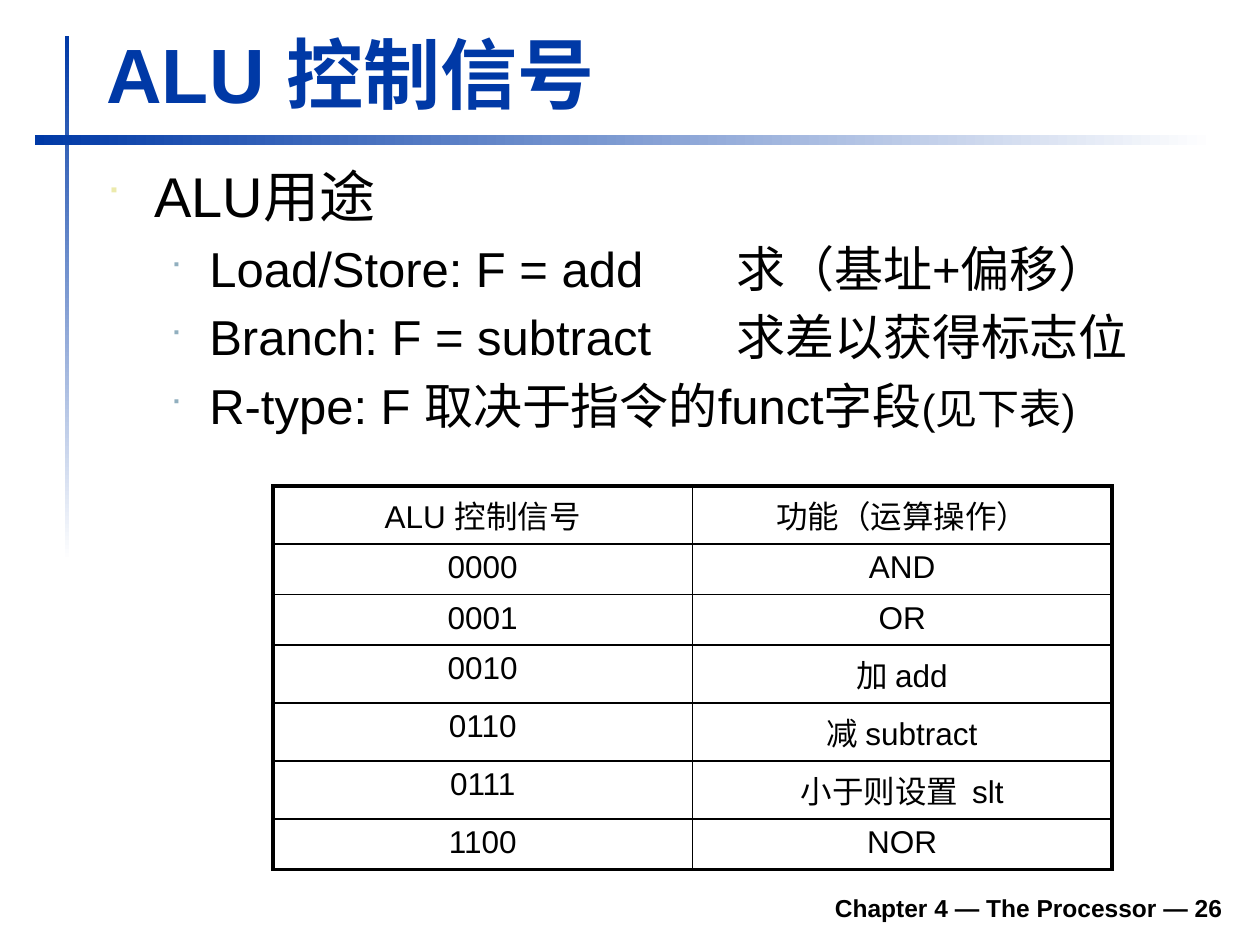
from lxml.etree import SubElement
from pptx import Presentation
from pptx.dml.color import RGBColor
from pptx.enum.shapes import MSO_SHAPE as Shape
from pptx.enum.text import MSO_ANCHOR as Anchor, PP_ALIGN as Align
from pptx.oxml.ns import qn
from pptx.util import Pt

# Content
TITLE = "ALU 控制信号"
FOOTER = "Chapter 4 — The Processor — 26"
# Each bullet: level, runs of (text, size)
BULLETS = [
    (0, [("ALU用途", 32)]),
    (1, [("Load/Store: F = add\t求（基址+偏移）", 28)]),
    (1, [("Branch: F = subtract\t求差以获得标志位", 28)]),
    (1, [("R-type: F 取决于指令的funct字段", 28), ("(见下表)", 24)]),
]
ROWS = [
    ("ALU 控制信号", "功能（运算操作）"),
    ("0000", "AND"),
    ("0001", "OR"),
    ("0010", "加 add"),
    ("0110", "减 subtract"),
    ("0111", "小于则设置  slt"),
    ("1100", "NOR"),
]

# Style: lengths in px, 126 to the inch
BLUE, WHITE, BLACK = "0039A6", "FFFFFF", "000000"
# Each bar: left, top, width, height, gradient angle
BARS = [(65, 36, 4, 525, 270), (35, 135, 1180, 10, 0)]
# Each level: left margin, hanging indent, bullet colour, bullet size in percent
LEVELS = [(48, 48, "ECEAAC", 60), (103, 39, "91AFBF", 55)]
TAB = 126
OUTER, HEADER, INNER = 2.25, 1.5, 1
LATIN_ROW, CHINESE_ROW = 50, 58


def px(length):
    return round(length * 914400 / 126)


def color(value):
    return RGBColor.from_string(value)


def set_font(font, size, value=BLACK, bold=False):
    font.name, font.size, font.bold = "Arial", Pt(size), bold
    font.color.rgb = color(value)


def add_box(left, top, width, height, anchor=Anchor.TOP):
    box = slide.shapes.add_textbox(px(left), px(top), px(width), px(height))
    box.text_frame.word_wrap = True
    box.text_frame.vertical_anchor = anchor
    return box.text_frame


def add_line(box, text, size, value, align):
    para = box.paragraphs[0]
    para.text, para.alignment = text, align
    set_font(para.font, size, value, bold=True)


def set_bullet(para, level):
    margin, hanging, value, percent = LEVELS[level]
    para.level = level
    props = para._p.get_or_add_pPr()
    props.set("marL", str(px(margin)))
    props.set("indent", str(-px(hanging)))
    props.set("defTabSz", str(px(TAB)))
    SubElement(SubElement(props, qn("a:buClr")), qn("a:srgbClr"), val=value)
    SubElement(props, qn("a:buSzPct"), val=str(percent * 1000))
    SubElement(props, qn("a:buFont"), typeface="Wingdings")
    SubElement(props, qn("a:buChar"), char="■")


def set_borders(cell, widths):
    props = cell._tc.get_or_add_tcPr()
    for side, width in zip("LRTB", widths):
        line = SubElement(props, qn("a:ln" + side), w=str(Pt(width)))
        fill = SubElement(line, qn("a:solidFill"))
        SubElement(fill, qn("a:srgbClr"), val=BLACK)


deck = Presentation()
deck.slide_width, deck.slide_height = px(1260), px(945)
slide = deck.slides.add_slide(deck.slide_layouts[6])

# Fading bars
for left, top, width, height, angle in BARS:
    bar = slide.shapes.add_shape(Shape.RECTANGLE, px(left), px(top), px(width), px(height))
    bar.shadow.inherit = False
    bar.line.fill.background()
    bar.fill.gradient()
    bar.fill.gradient_angle = angle
    for stop, value in zip(bar.fill.gradient_stops, (BLUE, WHITE)):
        stop.color.rgb = color(value)

# Footer and title
add_line(add_box(233, 880, 1002, 49, Anchor.BOTTOM), FOOTER, 14, BLACK, Align.RIGHT)
add_line(add_box(94, 20, 1138, 105, Anchor.BOTTOM), TITLE, 44, BLUE, Align.LEFT)

# Bullets
body = add_box(94, 155, 1140, 328)
for index, (level, runs) in enumerate(BULLETS):
    para = body.add_paragraph() if index else body.paragraphs[0]
    set_bullet(para, level)
    main_size = runs[0][1]
    if index:
        para.space_before = Pt(main_size * 0.2)
    set_font(para.font, main_size)
    for text, size in runs:
        span = para.add_run()
        span.text = text
        if size != main_size:
            span.font.size = Pt(size)

# Table of control signals; rows with Chinese text are taller
heights = [LATIN_ROW if "".join(row).isascii() else CHINESE_ROW for row in ROWS]
frame = slide.shapes.add_table(len(ROWS), 2, px(273), px(486), px(839), px(sum(heights)))
table = frame.table
last = len(ROWS) - 1
for r, row in enumerate(ROWS):
    table.rows[r].height = px(heights[r])
    top = {0: OUTER, 1: HEADER}.get(r, INNER)
    bottom = {0: HEADER, last: OUTER}.get(r, INNER)
    for c, text in enumerate(row):
        cell = table.cell(r, c)
        sides = (INNER, OUTER) if c else (OUTER, INNER)
        set_borders(cell, (*sides, top, bottom))
        cell.fill.background()
        para = cell.text_frame.paragraphs[0]
        para.text, para.alignment = text, Align.CENTER
        set_font(para.font, 18)

deck.save("out.pptx")
